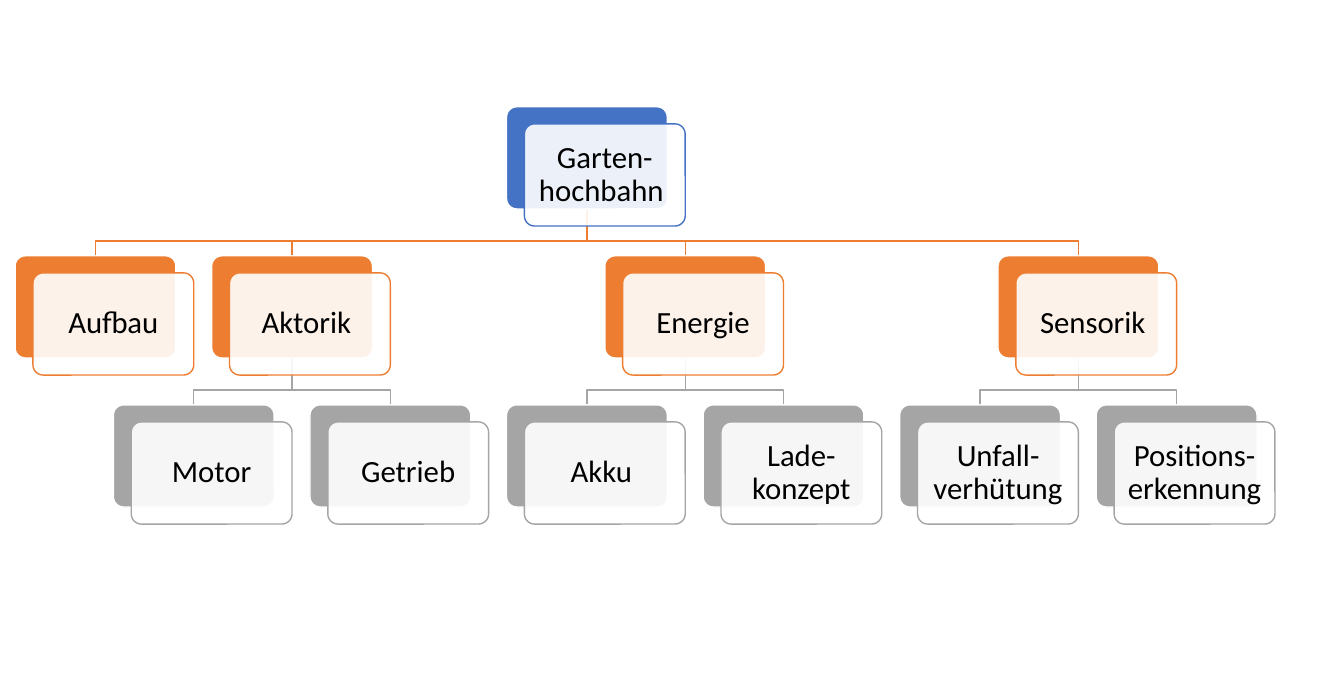
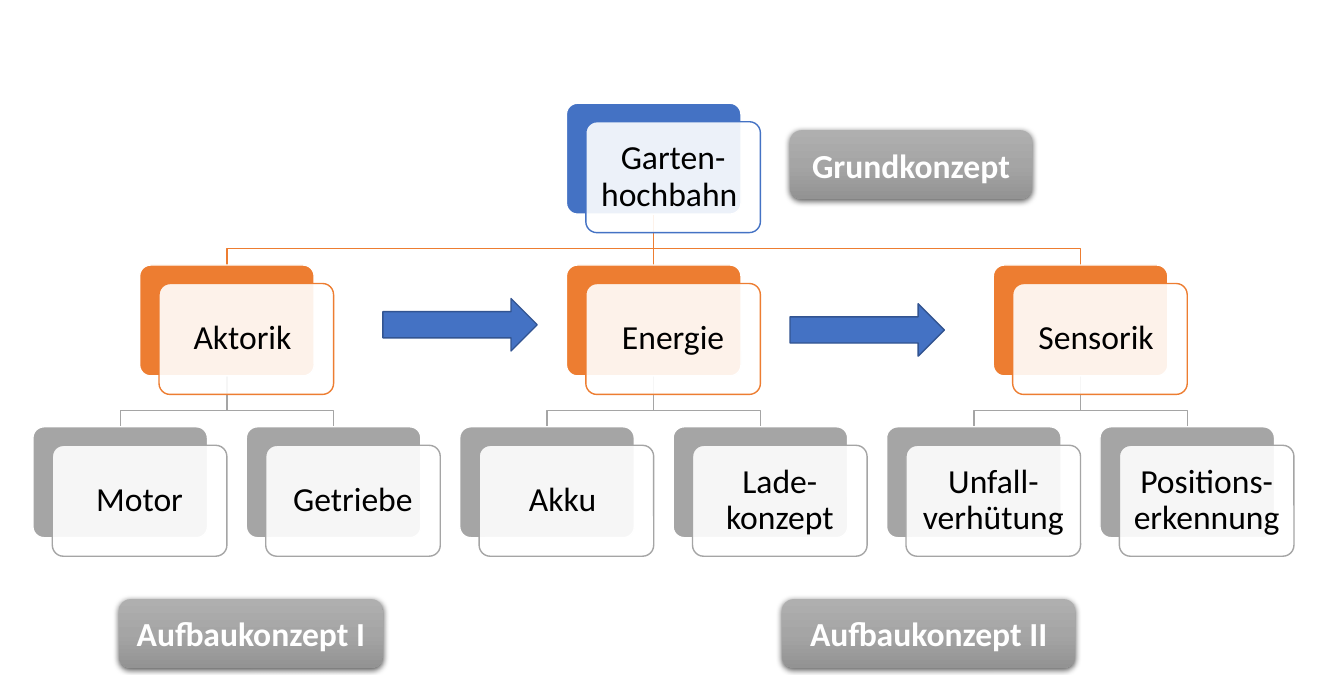
import copy

import lxml.etree
import pptx
import pptx.dml.color
import pptx.enum.shapes
import pptx.enum.text
import pptx.oxml.ns
import pptx.util

Cm = pptx.util.Cm
Pt = pptx.util.Pt
qn = pptx.oxml.ns.qn
Preset = pptx.enum.shapes.MSO_SHAPE

FONT = "Calibri"
COLORS = {
    "root": "4472C4",
    "branch": "ED7D31",
    "leaf": "A5A5A5",
    "card": "FFFFFF",
    "text": "000000",
    "label_text": "FFFFFF",
    "arrow_edge": "325491",
    "shadow": "000000",
    "label_top": "AFAFAF",
    "label_middle": "A5A5A5",
    "label_bottom": "939393",
}
LEVELS = ["root", "branch", "leaf"]
PITCH = 11 / 9
CARD_HEIGHT = 0.635
LEVEL_STEP = 0.926
SHIFT_X = 1 / 9
SHIFT_Y = 0.106
INSET = 0.057
BEND = 0.68

ROOT = "Garten-\nhochbahn "
ENERGY = ("Energie", ["Akku ", "Lade-konzept"])
SENSORS = ("Sensorik ", ["Unfall-verhütung", "Positions-erkennung"])


def color(name):
    return pptx.dml.color.RGBColor.from_string(COLORS[name])


def paint(shape, fill, line):
    shape.shadow.inherit = False
    shape.fill.solid()
    shape.fill.fore_color.rgb = color(fill)
    shape.line.color.rgb = color(line)
    shape.line.width = Pt(1)


def write(shape, text, size, ink, bold=False):
    frame = shape.text_frame
    frame.word_wrap = True
    frame.vertical_anchor = pptx.enum.text.MSO_ANCHOR.MIDDLE
    para = frame.paragraphs[0]
    para.alignment = pptx.enum.text.PP_ALIGN.CENTER
    for index, line in enumerate(text.split("\n")):
        if index:
            para.add_line_break()
        span = para.add_run()
        span.text = line
        span.font.name = FONT
        span.font.size = Pt(size)
        span.font.bold = bold
        span.font.color.rgb = color(ink)
    return para


def add_card(shapes, box, level, text, size):
    left, top, width = box
    height = width * CARD_HEIGHT
    back = shapes.add_shape(
        Preset.ROUNDED_RECTANGLE, Cm(left), Cm(top), Cm(width), Cm(height))
    paint(back, level, "card")
    front = shapes.add_shape(
        Preset.ROUNDED_RECTANGLE, Cm(left + width * SHIFT_X),
        Cm(top + width * SHIFT_Y), Cm(width), Cm(height))
    paint(front, "card", level)
    tint = front.fill._xPr.find(qn("a:solidFill"))[0]
    lxml.etree.SubElement(tint, qn("a:alpha"), val="90000")
    for shape in (back, front):
        shape.adjustments[0] = 0.1
    frame = front.text_frame
    frame.margin_left = frame.margin_right = Cm(width * INSET)
    frame.margin_top = frame.margin_bottom = Cm(width * INSET)
    write(front, text, size, "text").line_spacing = 0.9


def add_branch_line(shapes, start, end, level):
    (x1, y1), (x2, y2) = start, end
    if abs(x1 - x2) < 0.01:
        link = shapes.add_connector(
            pptx.enum.shapes.MSO_CONNECTOR.STRAIGHT, Cm(x1), Cm(y1), Cm(x2), Cm(y2))
        lxml.etree.SubElement(link._element.spPr, qn("a:effectLst"))
    else:
        bend = y1 + (y2 - y1) * BEND
        outline = shapes.build_freeform(Cm(x1), Cm(y1))
        outline.add_line_segments(
            [(Cm(x), Cm(y)) for x, y in ((x1, bend), (x2, bend), (x2, y2))], close=False)
        link = outline.convert_to_shape()
        link.fill.background()
        link.shadow.inherit = False
    link.line.color.rgb = color(level)
    link.line.width = Pt(1)


def arrange(branches):
    nodes = []
    cursor = 0
    for name, leaves in branches:
        columns = [cursor + index for index in range(len(leaves))]
        column = sum(columns) / len(columns) if columns else cursor
        nodes.append((name, column, list(zip(leaves, columns))))
        cursor += len(leaves) or 0.5
    return nodes, cursor - 1


def add_tree(page, box, branches, size):
    left, top, total_width = box
    nodes, last_column = arrange(branches)
    width = total_width / (last_column * PITCH + 1 + SHIFT_X)
    root_column = (nodes[0][1] + nodes[-1][1]) / 2
    cards = [(ROOT, root_column, 0)]
    links = []
    for name, column, leaves in nodes:
        cards.append((name, column, 1))
        links.append((root_column, column, 1))
        for leaf, leaf_column in leaves:
            cards.append((leaf, leaf_column, 2))
            links.append((column, leaf_column, 2))

    def corner(column, depth):
        return left + column * width * PITCH, top + depth * width * LEVEL_STEP

    shapes = page.shapes.add_group_shape().shapes
    for parent, child, depth in reversed(links):
        x1, y1 = corner(parent, depth - 1)
        x2, y2 = corner(child, depth)
        add_branch_line(shapes, (x1 + width / 2, y1 + width * CARD_HEIGHT),
                        (x2 + width / 2, y2), LEVELS[depth])
    for text, column, depth in cards:
        add_card(shapes, (*corner(column, depth), width), LEVELS[depth], text, size)


def add_flow_arrow(page, box):
    arrow = page.shapes.add_shape(Preset.RIGHT_ARROW, *map(Cm, box))
    paint(arrow, "root", "arrow_edge")


def add_label(page, box, text):
    label = page.shapes.add_shape(Preset.ROUNDED_RECTANGLE, *map(Cm, box))
    label.line.fill.background()
    label.fill.gradient()
    label.fill.gradient_angle = 270
    properties = label._element.spPr
    stops = properties.find(".//" + qn("a:gsLst"))
    stops.insert(1, copy.deepcopy(stops[0]))
    shades = ["label_top", "label_middle", "label_bottom"]
    for index, (stop, shade) in enumerate(zip(label.fill.gradient_stops, shades)):
        stop.position = index / 2
        stop.color.rgb = color(shade)
    label.shadow.inherit = False
    shadow = lxml.etree.SubElement(
        properties.find(qn("a:effectLst")), qn("a:outerShdw"), blurRad=str(Pt(4.5)),
        dist=str(Pt(1.5)), dir="5400000", algn="ctr", rotWithShape="0")
    tint = lxml.etree.SubElement(shadow, qn("a:srgbClr"), val=COLORS["shadow"])
    lxml.etree.SubElement(tint, qn("a:alpha"), val="63000")
    write(label, text, 24, "label_text", bold=True)


def build_overview(page):
    actuators = ("Aktorik ", ["Motor", "Getrieb"])
    add_tree(page, (0.38, 2.69, 31.75),
             [("Aufbau", []), actuators, ENERGY, SENSORS], 22)


def build_concept(page):
    actuators = ("Aktorik ", ["Motor", "Getriebe"])
    add_tree(page, (0.83, 2.6, 31.78), [actuators, ENERGY, SENSORS], 24)
    for left, top in ((9.65, 7.52), (19.91, 7.65)):
        add_flow_arrow(page, (left, top, 3.89, 1.32))
    for left, top, width, text in (
            (19.91, 3.28, 6.1, "Grundkonzept"),
            (3, 15.09, 6.65, "Aufbaukonzept I"),
            (19.71, 15.09, 7.39, "Aufbaukonzept II")):
        add_label(page, (left, top, width, 1.73), text)


deck = pptx.Presentation()
deck.slide_width = Cm(33.87)
deck.slide_height = Cm(17)
for build in (build_overview, build_concept):
    build(deck.slides.add_slide(deck.slide_layouts[6]))
deck.save("out.pptx")
